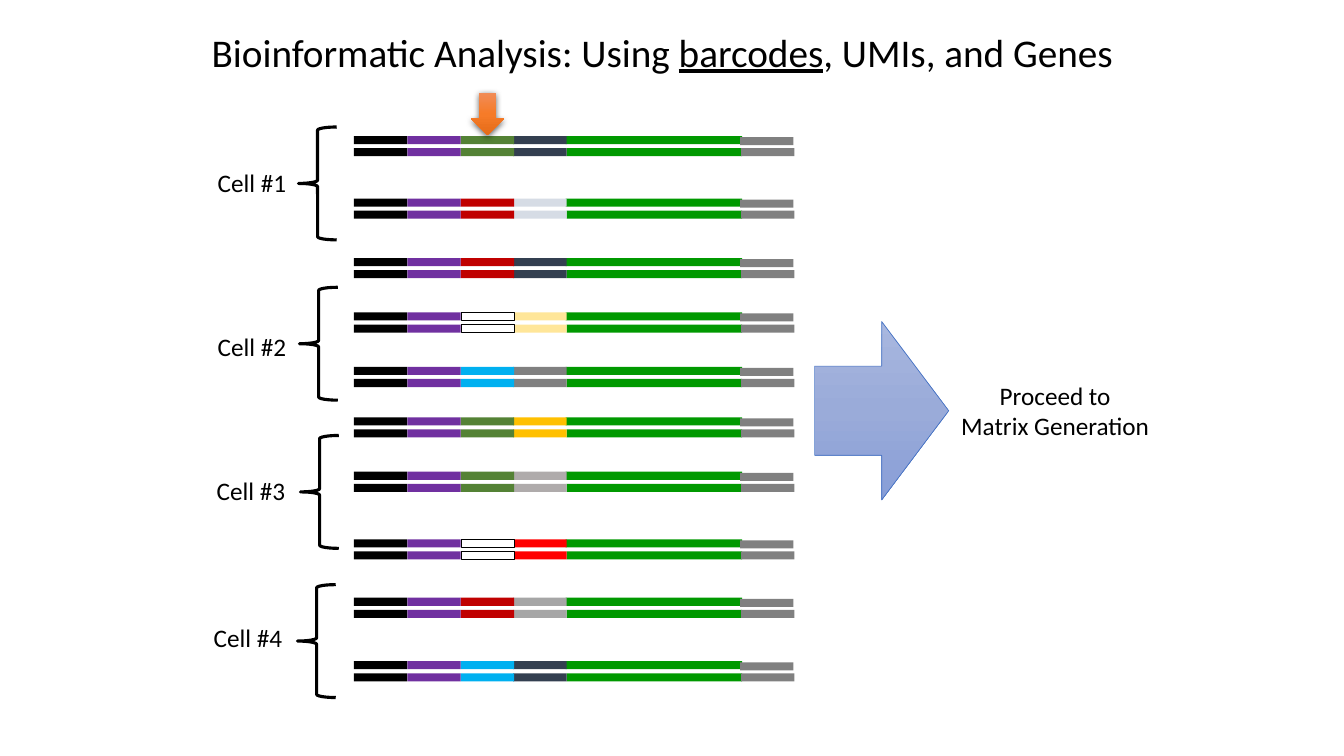
from lxml.etree import SubElement
from pptx import Presentation
from pptx.dml.color import RGBColor
from pptx.enum.shapes import MSO_SHAPE
from pptx.enum.text import MSO_AUTO_SIZE, PP_ALIGN
from pptx.oxml.ns import qn
from pptx.util import Emu, Pt

# Content: lengths in px, 100 px to the inch
PX = 9144
SLIDE_SIZE = (1333, 750)
FONT = "Calibri"
BLACK, WHITE = "000000", "FFFFFF"
PRIMER, ADAPTER, GENE, TAIL = BLACK, "7030A0", "009900", "808080"

# top, barcode colour, UMI colour
READS = [
    (135, "548235", "333F50"),
    (197, "C00000", "D6DCE5"),
    (256, "C00000", "333F50"),
    (310, WHITE, "FFE699"),
    (364, "00B0F0", "808080"),
    (414, "548235", "FFC000"),
    (468, "548235", "AFABAB"),
    (535, WHITE, "FF0000"),
    (593, "C00000", "A6A6A6"),
    (656, "00B0F0", "333F50"),
]
STRAND_HEIGHT, STRAND_STEP = 8, 12

# label, label left and top, brace left and top
CELLS = [
    ("Cell #1", 206, 161, 296, 126),
    ("Cell #2", 206, 324, 297, 285),
    ("Cell #3", 205, 467, 298, 432),
    ("Cell #4", 202, 612, 295, 580),
]
LABEL_SIZE, BRACE_SIZE = (89, 40), (38, 112)

TITLE = [[("Bioinformatic Analysis: Using ", False), ("barcodes", True),
          (", UMIs, and Genes", False)]]
NEXT_STEP = [[("Proceed to", False)], [("Matrix Generation", False)]]
ORANGE_STOPS = ["F18C57", "F67B28", "E56C19"]
BLUE_STOPS = ["A8B7DF", "9AABD9", "889ED7"]


def colour(hex_text):
    return RGBColor.from_string(hex_text)


def add_part(parent, kind, left, top, width, height, fill=None, line=None, weight=0.25):
    part = parent.add_shape(kind, *(Emu(n * PX) for n in (left, top, width, height)))
    part.shadow.inherit = False
    if fill:
        part.fill.solid()
        part.fill.fore_color.rgb = colour(fill)
    else:
        part.fill.background()
    if line:
        part.line.color.rgb = colour(line)
        part.line.width = Pt(weight)
    else:
        part.line.fill.background()
    return part


def shade_down(part, stops):
    part.fill.gradient()
    part.fill.gradient_angle = 270
    stop_list = part._element.spPr.find(qn("a:gradFill")).find(qn("a:gsLst"))
    stop_list[:] = []
    for index, stop in enumerate(stops):
        mark = SubElement(stop_list, qn("a:gs"), pos=str(index * 50000))
        SubElement(mark, qn("a:srgbClr"), val=stop)


def cast_shadow(part):
    effects = part._element.spPr.find(qn("a:effectLst"))
    shadow = SubElement(effects, qn("a:outerShdw"), blurRad=str(Pt(4.5)),
                        dist=str(Pt(1.5)), dir="5400000", algn="ctr", rotWithShape="0")
    tint = SubElement(shadow, qn("a:srgbClr"), val=BLACK)
    SubElement(tint, qn("a:alpha"), val="63000")


def add_text(page, lines, left, top, width, height, size=18, align=PP_ALIGN.LEFT):
    box = page.shapes.add_textbox(*(Emu(n * PX) for n in (left, top, width, height)))
    frame = box.text_frame
    frame.word_wrap = False
    frame.auto_size = MSO_AUTO_SIZE.SHAPE_TO_FIT_TEXT
    for index, line in enumerate(lines):
        para = frame.paragraphs[0] if index == 0 else frame.add_paragraph()
        para.alignment = align
        for words, underlined in line:
            span = para.add_run()
            span.text = words
            span.font.name = FONT
            span.font.size = Pt(size)
            span.font.color.rgb = colour(BLACK)
            if underlined:
                span.font.underline = True


def add_read(page, top, barcode, umi):
    read = page.shapes.add_group_shape()
    for strand in (0, 1):
        # left, drop, width, fill
        segments = [
            (561 + strand, 0, 175 - strand, GENE),
            (509, 0, 53, umi),
            (457, 0, 53, barcode),
            (404, 0, 53, ADAPTER),
            (351, 0, 53, PRIMER),
            (734 + strand, 1 - strand, 53, TAIL),
        ]
        for left, drop, width, fill in segments:
            add_part(read.shapes, MSO_SHAPE.RECTANGLE, left,
                     top + strand * STRAND_STEP + drop, width, STRAND_HEIGHT,
                     fill, BLACK if fill == WHITE else None)


def main():
    deck = Presentation()
    deck.slide_width, deck.slide_height = (Emu(n * PX) for n in SLIDE_SIZE)
    page = deck.slides.add_slide(deck.slide_layouts[6])

    # Sequencing reads
    for read in READS:
        add_read(page, *read)

    # Cell labels and braces
    for label, left, top, brace_left, brace_top in CELLS:
        add_text(page, [[(label, False)]], left, top, *LABEL_SIZE)
        add_part(page.shapes, MSO_SHAPE.LEFT_BRACE, brace_left, brace_top,
                 *BRACE_SIZE, line=BLACK, weight=2.25)

    # Barcode pointer and title
    pointer = add_part(page.shapes, MSO_SHAPE.DOWN_ARROW, 467, 92, 33, 42)
    shade_down(pointer, ORANGE_STOPS)
    cast_shadow(pointer)
    add_text(page, TITLE, 200, 23, 925, 57, size=28)

    # Next step
    arrow = add_part(page.shapes, MSO_SHAPE.RIGHT_ARROW, 808, 319, 133, 177,
                     line="4472C4", weight=0.5)
    shade_down(arrow, BLUE_STOPS)
    add_text(page, NEXT_STEP, 942, 372, 209, 71, align=PP_ALIGN.CENTER)

    deck.save("out.pptx")


if __name__ == "__main__":
    main()
